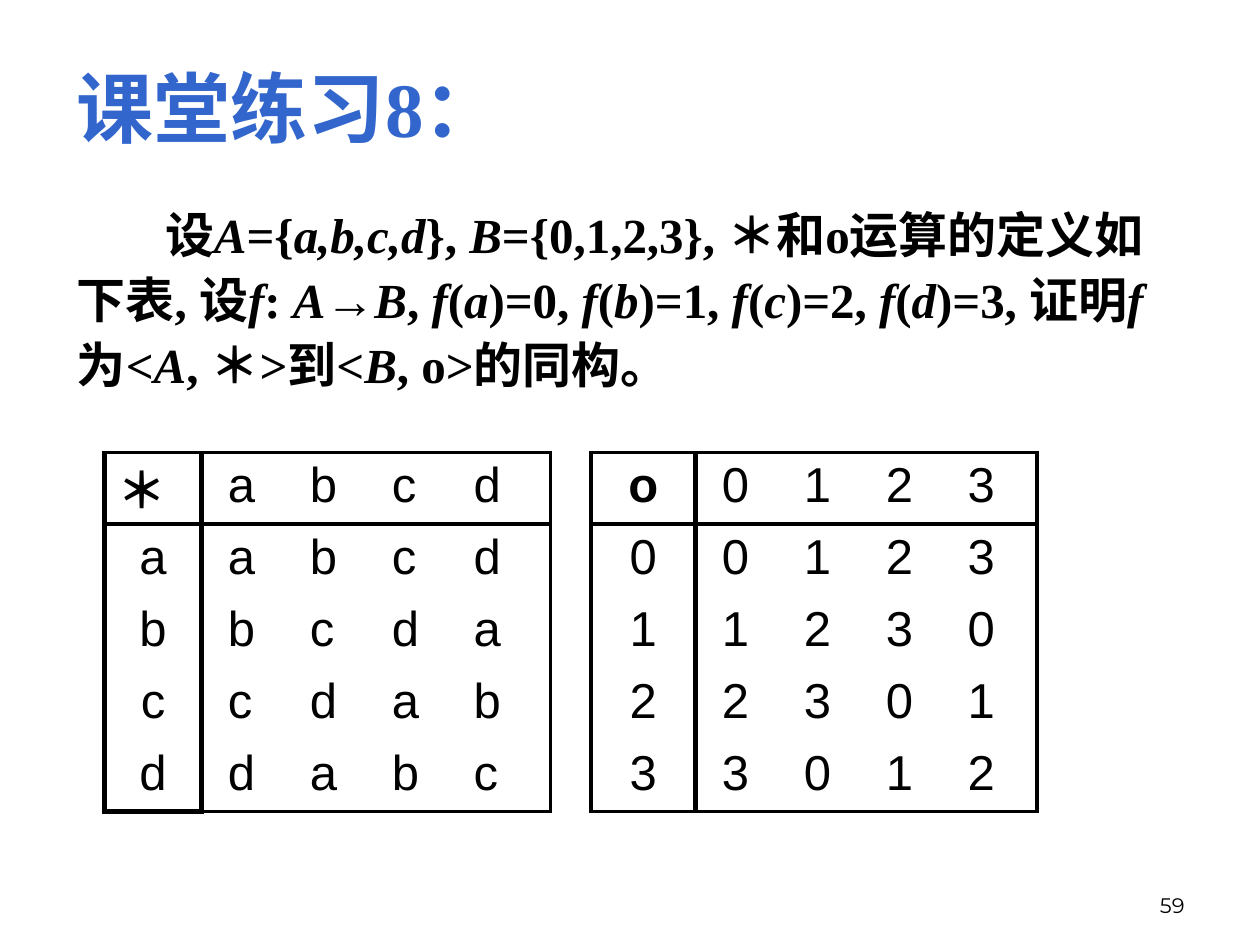
from lxml import etree
from pptx import Presentation
from pptx.dml.color import RGBColor
from pptx.enum.text import MSO_ANCHOR, MSO_AUTO_SIZE, PP_ALIGN
from pptx.oxml.ns import qn
from pptx.util import Inches, Pt

LEFT, CENTER, RIGHT = PP_ALIGN.LEFT, PP_ALIGN.CENTER, PP_ALIGN.RIGHT
TOP, BOTTOM = MSO_ANCHOR.TOP, MSO_ANCHOR.BOTTOM
NO_AUTOFIT = MSO_AUTO_SIZE.NONE

COLORS = {"title": "3366CC", "text": "000000"}
SERIF, SANS, NUMBER_FONT = "Times New Roman", "Arial", "Montserrat"
THIN, THICK = 2.25, 3
ROW_HEIGHT, SYMBOL_STEP, SYMBOL_INSET = 0.57, 0.65, 0.21

EXERCISE = (
    "设_A_={_a,b,c,d_}, _B_={0,1,2,3}, ＊和o运算的定义如下表, 设_f_: _A_→_B_, "
    "_f_(_a_)=0, _f_(_b_)=1, _f_(_c_)=2, _f_(_d_)=3, "
    "证明_f_为<_A_, ＊>到<_B_, o>的同构。"
)


def place(shape, box):
    shape.left, shape.top, shape.width, shape.height = map(Inches, box)


def prepare_frame(shape, anchor):
    frame = shape.text_frame
    frame.word_wrap = True
    frame.auto_size = NO_AUTOFIT
    frame.vertical_anchor = anchor
    return frame.paragraphs[0]


def style(paragraph, font_name, size, color="text", bold=False, alignment=LEFT):
    paragraph.alignment = alignment
    paragraph.space_before = Pt(0)
    font = paragraph.font
    font.name, font.size, font.bold = font_name, Pt(size), bold
    font.color.rgb = RGBColor.from_string(COLORS[color])


def add_title(slide, box):
    title = slide.shapes.title
    place(title, box)
    paragraph = prepare_frame(title, TOP)
    paragraph.text = "课堂练习8："
    paragraph.line_spacing = 1.1
    style(paragraph, SERIF, 44, "title", bold=True)


def add_exercise(slide, box):
    body = slide.placeholders[1]
    place(body, box)
    paragraph = prepare_frame(body, TOP)
    properties = paragraph._p.get_or_add_pPr()
    properties.set("marL", "0")
    properties.set("indent", str(Inches(0.7)))
    etree.SubElement(properties, qn("a:buNone"))
    for index, part in enumerate(EXERCISE.split("_")):
        run = paragraph.add_run()
        run.text = part
        run.font.italic = index % 2 == 1
    paragraph.line_spacing = 1.1
    style(paragraph, SERIF, 28, bold=True)


def set_borders(cell, widths):
    properties = cell._tc.get_or_add_tcPr()
    for side in "LRTB":
        width = widths.get(side)
        line = etree.SubElement(properties, qn(f"a:ln{side}"))
        if width is None:
            etree.SubElement(line, qn("a:noFill"))
        else:
            line.set("w", str(Pt(width)))
            fill = etree.SubElement(line, qn("a:solidFill"))
            etree.SubElement(fill, qn("a:srgbClr"), val=COLORS["text"])


def add_symbol_tabs(paragraph, count):
    tabs = etree.SubElement(paragraph._p.get_or_add_pPr(), qn("a:tabLst"))
    for step in range(1, count):
        position = str(Inches(SYMBOL_STEP * step))
        etree.SubElement(tabs, qn("a:tab"), pos=position, algn="l")


def add_operation_table(slide, box, operator, symbols, header_width, edge):
    count = len(symbols)
    rows = [(operator, symbols)] + [
        (symbol, symbols[shift:] + symbols[:shift])
        for shift, symbol in enumerate(symbols)
    ]
    frame = slide.shapes.add_table(len(rows), 2, *map(Inches, box))
    table = frame.table
    table.first_row = table.horz_banding = False
    table.columns[0].width = Inches(header_width)
    table.columns[1].width = Inches(box[2] - header_width)
    for index, (header, results) in enumerate(rows):
        table.rows[index].height = Inches(ROW_HEIGHT)
        horizontal = {}
        if index == 0:
            horizontal = {"T": THIN, "B": THICK}
        elif index == 1:
            horizontal = {"T": THICK}
        header_cell, result_cell = table.cell(index, 0), table.cell(index, 1)
        header_borders = {"L": edge, "R": THICK, **horizontal}
        result_borders = {"L": THICK, "R": THIN, **horizontal}
        if index == count:
            header_borders["B"], result_borders["B"] = edge, THIN

        header_cell.text = header
        result_cell.text = "\t".join(results)
        result_cell.margin_left = Inches(SYMBOL_INSET)
        header_paragraph = header_cell.text_frame.paragraphs[0]
        result_paragraph = result_cell.text_frame.paragraphs[0]
        add_symbol_tabs(result_paragraph, count)
        style(header_paragraph, SANS, 28, bold=index == 0, alignment=CENTER)
        style(result_paragraph, SANS, 28)
        if header == "＊":
            header_paragraph.alignment = LEFT
            header_paragraph.line_spacing = Pt(33)
            header_cell.margin_top, header_cell.margin_bottom = Inches(0.1), 0
        for cell, borders in (
            (header_cell, header_borders),
            (result_cell, result_borders),
        ):
            set_borders(cell, borders)
            cell.fill.background()


def add_page_number(slide, box):
    paragraph = prepare_frame(slide.shapes.add_textbox(*map(Inches, box)), BOTTOM)
    paragraph.text = "59"
    style(paragraph, NUMBER_FONT, 12, alignment=RIGHT)


def main():
    presentation = Presentation()
    presentation.slide_width, presentation.slide_height = Inches(10), Inches(7.5)
    slide = presentation.slides.add_slide(presentation.slide_layouts[1])
    add_page_number(slide, (7.17, 6.83, 2.33, 0.5))
    add_exercise(slide, (0.51, 1.53, 8.74, 1.66))
    add_operation_table(slide, (0.83, 3.59, 3.54, 2.85), "＊", "abcd", 0.77, THICK)
    add_operation_table(slide, (4.69, 3.59, 3.54, 2.85), "o", "0123", 0.83, THIN)
    add_title(slide, (0.51, 0.36, 3.6, 0.85))
    presentation.save("out.pptx")


if __name__ == "__main__":
    main()
